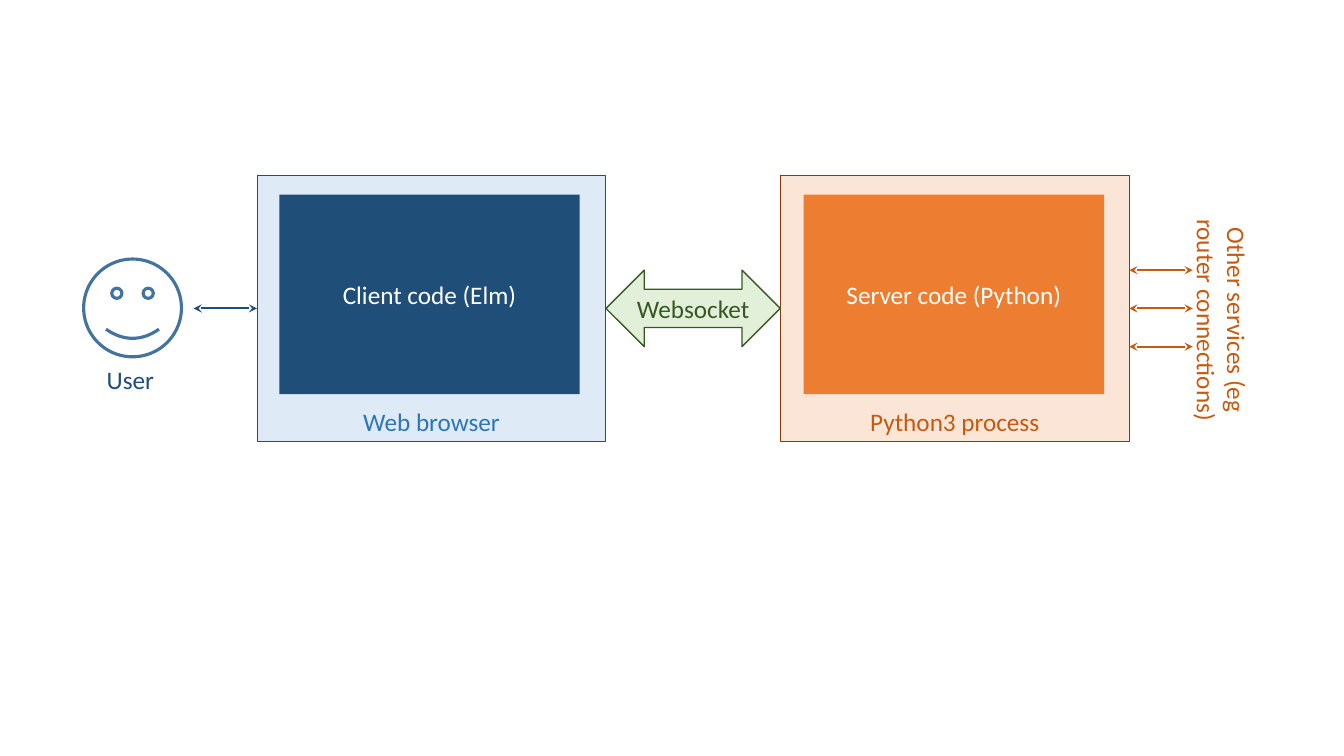
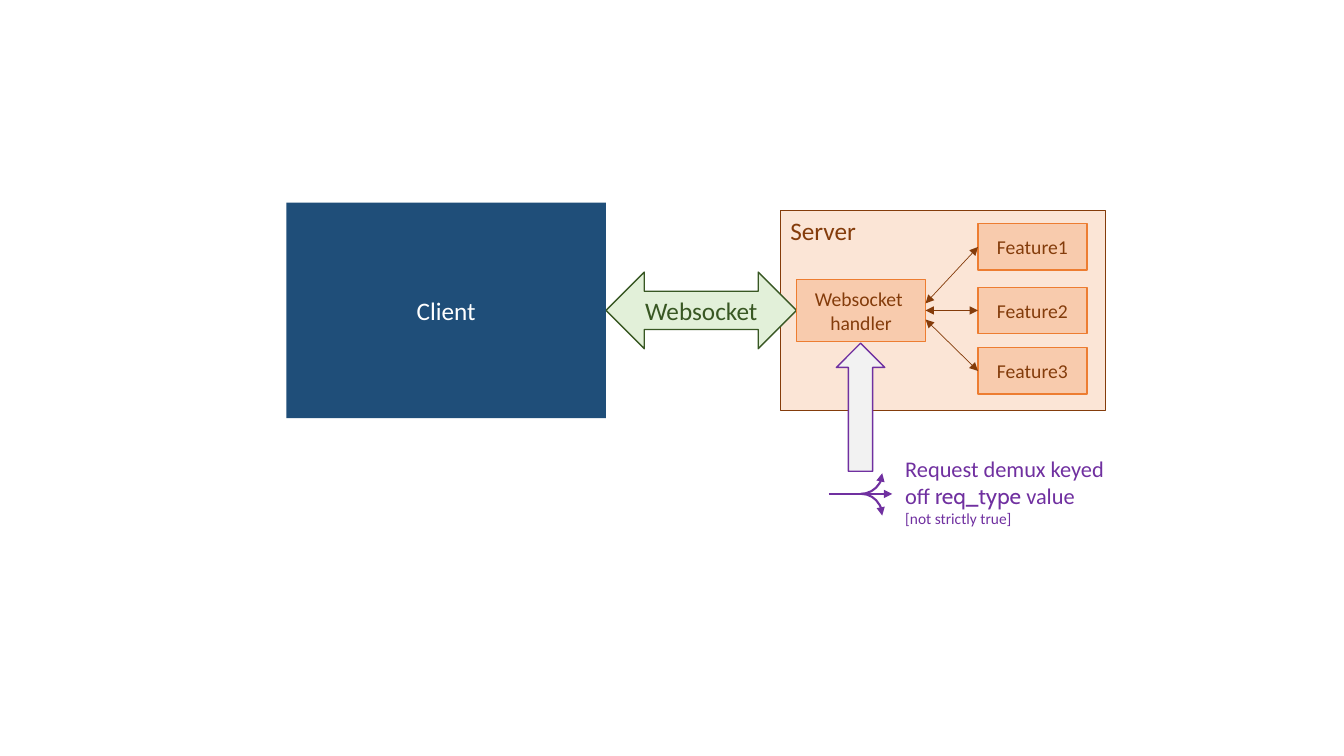
from dataclasses import dataclass
from typing import Any, Optional

from lxml import etree
from pptx import Presentation
from pptx.dml.color import RGBColor
from pptx.enum.shapes import MSO_CONNECTOR, MSO_SHAPE
from pptx.enum.text import MSO_ANCHOR, MSO_AUTO_SIZE, PP_ALIGN
from pptx.oxml.ns import qn
from pptx.util import Inches, Pt

RECT = MSO_SHAPE.RECTANGLE
ARC = MSO_SHAPE.ARC
SMILE = MSO_SHAPE.SMILEY_FACE
TWO_WAY = MSO_SHAPE.LEFT_RIGHT_ARROW
ARROW = MSO_SHAPE.RIGHT_ARROW
STRAIGHT = MSO_CONNECTOR.STRAIGHT
TOP, MIDDLE, BOTTOM = MSO_ANCHOR.TOP, MSO_ANCHOR.MIDDLE, MSO_ANCHOR.BOTTOM
LEFT, CENTER = PP_ALIGN.LEFT, PP_ALIGN.CENTER
FIT = MSO_AUTO_SIZE.SHAPE_TO_FIT_TEXT
LEFT_SIDE, RIGHT_SIDE = 1, 3

FONT = "Calibri"
WHITE, GREY = "FFFFFF", "F2F2F2"
NAVY, BLUE, STEEL, SKY = "1F4E79", "2E75B6", "43739E", "DEEBF7"
BROWN, RUST, ORANGE = "843C0B", "C55A11", "ED7D31"
PEACH, CREAM = "F8CBAD", "FBE5D6"
GREEN, MINT = "385723", "E2F0D9"
PURPLE = "7030A0"


@dataclass(frozen=True)
class Run:
    text: str
    size: float = 18
    color: str = WHITE
    font: str = FONT


Lines = list[list[Run]]


@dataclass(frozen=True)
class Box:
    left: float
    top: float
    width: float
    height: float
    fill: Optional[str] = None
    line: Optional[str] = None
    weight: float = 1
    kind: Any = RECT
    turn: float = 0


@dataclass(frozen=True)
class Link:
    start: tuple[float, float]
    end: tuple[float, float]
    color: str
    weight: float = 1.5
    head: Optional[str] = None
    tail: Optional[str] = None


def shade(color: str) -> RGBColor:
    return RGBColor.from_string(color)


def set_text(shape: Any, lines: Lines, align: Any, anchor: Any) -> None:
    frame = shape.text_frame
    frame.vertical_anchor = anchor
    for i, line in enumerate(lines):
        para = frame.add_paragraph() if i else frame.paragraphs[0]
        para.alignment = align
        for item in line:
            run = para.add_run()
            run.text = item.text
            run.font.name = item.font
            run.font.size = Pt(item.size)
            run.font.color.rgb = shade(item.color)


def set_ends(shape: Any, head: Optional[str], tail: Optional[str]) -> None:
    stroke = shape.line._get_or_add_ln()
    for tag, kind in (("a:headEnd", head), ("a:tailEnd", tail)):
        if kind:
            etree.SubElement(stroke, qn(tag)).set("type", kind)


def add_box(shapes: Any, box: Box, lines: Optional[Lines] = None,
            align: Any = CENTER, anchor: Any = MIDDLE) -> Any:
    shape = shapes.add_shape(box.kind, Inches(box.left), Inches(box.top),
                             Inches(box.width), Inches(box.height))
    shape.shadow.inherit = False
    shape.rotation = box.turn
    if box.fill:
        shape.fill.solid()
        shape.fill.fore_color.rgb = shade(box.fill)
    else:
        shape.fill.background()
    if box.line:
        shape.line.color.rgb = shade(box.line)
        shape.line.width = Pt(box.weight)
    else:
        shape.line.fill.background()
    if lines:
        shape.text_frame.word_wrap = True
        set_text(shape, lines, align, anchor)
    return shape


def add_label(shapes: Any, box: Box, lines: Lines, align: Any = LEFT) -> None:
    label = shapes.add_textbox(Inches(box.left), Inches(box.top),
                               Inches(box.width), Inches(box.height))
    label.rotation = box.turn
    label.text_frame.word_wrap = False
    label.text_frame.auto_size = FIT
    set_text(label, lines, align, TOP)


def add_link(shapes: Any, link: Link) -> Any:
    line = shapes.add_connector(STRAIGHT, *map(Inches, link.start + link.end))
    line.line.color.rgb = shade(link.color)
    line.line.width = Pt(link.weight)
    set_ends(line, link.head, link.tail)
    etree.SubElement(line._element.spPr, qn("a:effectLst"))
    return line


def add_socket(shapes: Any, top: float, width: float) -> None:
    add_box(shapes, Box(6.01, top, width, 0.76, MINT, GREEN, kind=TWO_WAY),
            [[Run("Websocket", color=GREEN)]])


def draw_system(shapes: Any) -> None:
    web = add_box(shapes, Box(2.55, 1.74, 3.46, 2.64, SKY, NAVY, 0.75),
                  [[Run("Web browser", color=BLUE)]], anchor=BOTTOM)
    host = add_box(shapes, Box(7.74, 1.74, 3.46, 2.64, CREAM, BROWN, 0.75),
                   [[Run("Python3 process", color=RUST)]], anchor=BOTTOM)
    add_socket(shapes, 2.68, 1.73)
    for left, fill, text in ((2.77, NAVY, "Client code (Elm)"),
                             (7.97, ORANGE, "Server code (Python)")):
        add_box(shapes, Box(left, 1.93, 2.98, 1.98, fill), [[Run(text)]])

    add_box(shapes, Box(0.83, 2.57, 0.97, 0.97, None, STEEL, 2.25, SMILE))
    add_label(shapes, Box(0.96, 3.57, 0.68, 0.4), [[Run("User", color=NAVY)]])
    link = add_link(shapes, Link((1.92, 3.06), (2.55, 3.06), NAVY,
                                 head="stealth", tail="stealth"))
    link.end_connect(web, LEFT_SIDE)

    for step in (-1, 0, 1):
        y = 3.06 + step * 0.38
        link = add_link(shapes, Link((11.2, y), (11.83, y), RUST,
                                     head="stealth", tail="stealth"))
        if step == 0:
            link.begin_connect(host, RIGHT_SIDE)
    add_label(shapes, Box(11, 2.82, 2.23, 0.71, turn=90),
              [[Run("Other services (eg", color=RUST)],
               [Run("router connections)", color=RUST)]], CENTER)


def draw_demux(shapes: Any) -> None:
    group = shapes.add_group_shape().shapes
    add_link(group, Link((8.22, 4.9), (8.85, 4.9), PURPLE, tail="triangle"))
    for left, top, turn, head, tail in ((8.33, 4.48, 90, "triangle", None),
                                        (8.34, 4.9, 0, None, "triangle")):
        curve = add_box(group, Box(left, top, 0.41, 0.43, None, PURPLE, 1.5,
                                   ARC, turn))
        set_ends(curve, head, tail)


def draw_server(shapes: Any) -> None:
    add_box(shapes, Box(7.74, 2.09, 3.22, 1.98, CREAM, BROWN, 0.75),
            [[Run("Server", color=BROWN)]], LEFT, TOP)
    add_socket(shapes, 2.7, 1.89)
    add_box(shapes, Box(2.84, 2.01, 3.17, 2.14, NAVY), [[Run("Client")]])
    hub = add_box(shapes, Box(7.9, 2.77, 1.28, 0.62, PEACH, ORANGE),
                  [[Run("Websocket ", 14, BROWN)], [Run("handler", 14, BROWN)]])

    ports = ((2.22, 3.01), (2.85, 3.08), (3.45, 3.17))
    for i, (top, port) in enumerate(ports, 1):
        part = add_box(shapes, Box(9.7, top, 1.08, 0.46, PEACH, ORANGE),
                       [[Run(f"Feature{i}", 14, BROWN)]])
        link = add_link(shapes, Link((9.7, top + 0.23), (9.18, port), BROWN,
                                     0.5, "triangle", "triangle"))
        link.begin_connect(part, LEFT_SIDE)
        if i == 2:
            link.end_connect(hub, RIGHT_SIDE)

    add_box(shapes, Box(7.9, 3.8, 1.27, 0.48, GREY, PURPLE, kind=ARROW,
                        turn=270))
    add_label(shapes, Box(8.88, 4.47, 2.2, 0.82),
              [[Run("Request demux keyed", 16, PURPLE)],
               [Run("off ", 16, PURPLE),
                Run("req_type ", 16, PURPLE, "Cabin"),
                Run("value", 16, PURPLE)],
               [Run("[not strictly true]", 11, PURPLE)]])
    draw_demux(shapes)


def main() -> None:
    deck = Presentation()
    deck.slide_width = Inches(13.33)
    deck.slide_height = Inches(7.5)
    blank = deck.slide_layouts.get_by_name("Blank")
    for draw in (draw_system, draw_server):
        draw(deck.slides.add_slide(blank).shapes)
    deck.save("out.pptx")


if __name__ == "__main__":
    main()
